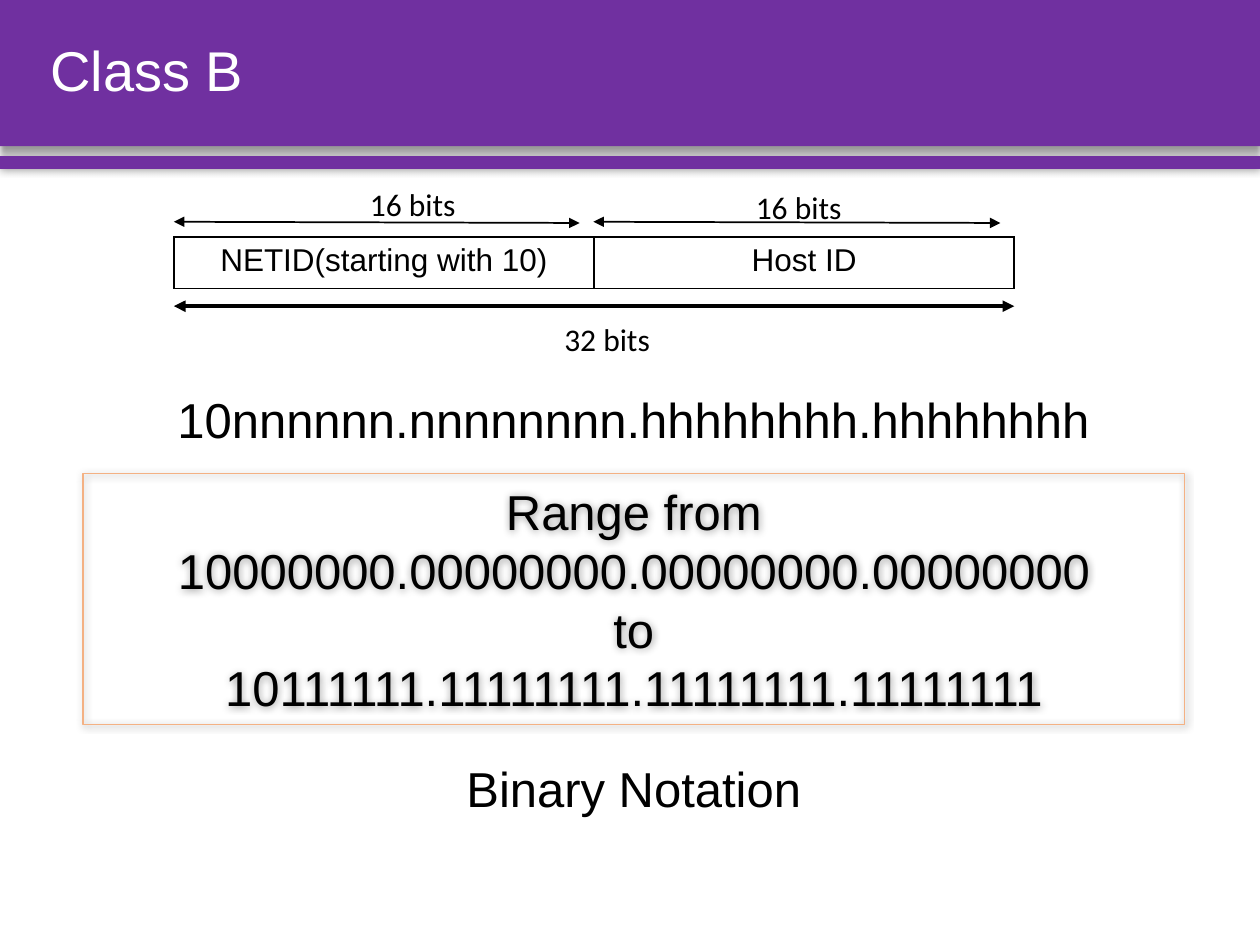
"""Build the Class B address slide with its bit layout and binary range."""
from lxml import etree
from pptx import Presentation
from pptx.dml.color import RGBColor
from pptx.enum.shapes import MSO_CONNECTOR, MSO_SHAPE
from pptx.enum.text import MSO_ANCHOR, PP_ALIGN
from pptx.oxml import parse_xml
from pptx.oxml.ns import nsdecls, qn
from pptx.util import Inches, Pt

RECTANGLE = MSO_SHAPE.RECTANGLE
STRAIGHT = MSO_CONNECTOR.STRAIGHT
LEFT, CENTER = PP_ALIGN.LEFT, PP_ALIGN.CENTER
MIDDLE = MSO_ANCHOR.MIDDLE
PURPLE = RGBColor(0x70, 0x30, 0xA0)
ORANGE = RGBColor(0xF4, 0xB1, 0x83)
BLACK = RGBColor(0, 0, 0)
WHITE = RGBColor(0xFF, 0xFF, 0xFF)


def write_text(text_frame, text, size, font="Arial", align=CENTER, color=BLACK):
    text_frame.word_wrap = True
    text_frame.text = text
    for paragraph in text_frame.paragraphs:
        paragraph.alignment = align
        paragraph.font.name = font
        paragraph.font.size = Pt(size)
        paragraph.font.color.rgb = color


def add_shadow(shape, blur, distance, direction):
    shape.shadow.inherit = False
    effects = shape._element.spPr.find(qn("a:effectLst"))
    effects.append(parse_xml(
        f'<a:outerShdw {nsdecls("a")} blurRad="{Pt(blur)}" dist="{Pt(distance)}" '
        f'dir="{direction * 60000}" algn="t" rotWithShape="0">'
        '<a:srgbClr val="000000"><a:alpha val="40000"/></a:srgbClr></a:outerShdw>'))


presentation = Presentation()
presentation.slide_width = Inches(10)
presentation.slide_height = Inches(7.5)
slide = presentation.slides.add_slide(presentation.slide_layouts[5])
shapes = slide.shapes

for top, height, blur, distance, direction in [(0, 1.16, 4, 3, 90), (1.24, 0.1, 5, 0, 0)]:
    bar = shapes.add_shape(RECTANGLE, 0, Inches(top), Inches(10), Inches(height))
    bar.fill.solid()
    bar.fill.fore_color.rgb = PURPLE
    bar.line.fill.background()
    add_shadow(bar, blur, distance, direction)

title = shapes.title
shapes._spTree.append(title._element)
title.left, title.top = Inches(0.3), Inches(0)
title.width, title.height = Inches(9.46), Inches(1.16)
write_text(title.text_frame, "Class B", 32, align=LEFT, color=WHITE)
title.text_frame.vertical_anchor = MIDDLE
title.text_frame.paragraphs[0].line_spacing = 0.9

range_box = shapes.add_shape(RECTANGLE, Inches(0.66), Inches(3.76), Inches(8.74), Inches(1.99))
range_box.fill.background()
range_box.line.color.rgb = ORANGE
range_box.line.width = Pt(0.75)
add_shadow(range_box, 5, 0, 0)
write_text(
    range_box.text_frame,
    "Range from\n10000000.00000000.00000000.00000000\vto\n10111111.11111111.11111111.11111111",
    28)

table_frame = shapes.add_table(1, 2, Inches(1.38), Inches(1.88), Inches(6.67), Inches(0.41))
table = table_frame.table
table.first_row = False
table.horz_banding = False
for cell, text in zip(table.iter_cells(), ["NETID(starting with 10)", "Host ID"]):
    write_text(cell.text_frame, text, 18)
    cell.fill.background()
    properties = cell._tc.get_or_add_tcPr()
    for position, side in enumerate(["lnL", "lnR", "lnT", "lnB"]):
        properties.insert(position, parse_xml(
            f'<a:{side} {nsdecls("a")} w="{Pt(1)}"><a:solidFill>'
            f'<a:srgbClr val="{BLACK}"/></a:solidFill></a:{side}>'))

for start_x, start_y, end_x, end_y, width in [
    (1.38, 1.76, 4.6, 1.77, 1),
    (4.71, 1.76, 7.94, 1.77, 1),
    (1.38, 2.43, 8.05, 2.43, 2.25),
]:
    arrow = shapes.add_connector(
        STRAIGHT, Inches(start_x), Inches(start_y), Inches(end_x), Inches(end_y))
    arrow.line.color.rgb = BLACK
    arrow.line.width = Pt(width)
    for end in ["a:headEnd", "a:tailEnd"]:
        etree.SubElement(arrow.line._get_or_add_ln(), qn(end), type="triangle")
    etree.SubElement(arrow._element.spPr, qn("a:effectLst"))

for left, top, width, height, text, size, font, align in [
    (2.67, 1.42, 1.21, 0.4, "16 bits", 18, "Calibri", CENTER),
    (5.9, 1.44, 1.21, 0.4, "16 bits", 18, "Calibri", LEFT),
    (4.38, 2.49, 1.21, 0.4, "32 bits", 18, "Calibri", LEFT),
    (0.87, 3.04, 8.31, 0.57, "10nnnnnn.nnnnnnnn.hhhhhhhh.hhhhhhhh", 28, "Arial", CENTER),
    (3.28, 5.81, 3.5, 0.89, "Binary Notation", 28, "Arial", CENTER),
]:
    label = shapes.add_textbox(Inches(left), Inches(top), Inches(width), Inches(height))
    write_text(label.text_frame, text, size, font, align)
    label.text_frame.vertical_anchor = MIDDLE

presentation.save("out.pptx")
